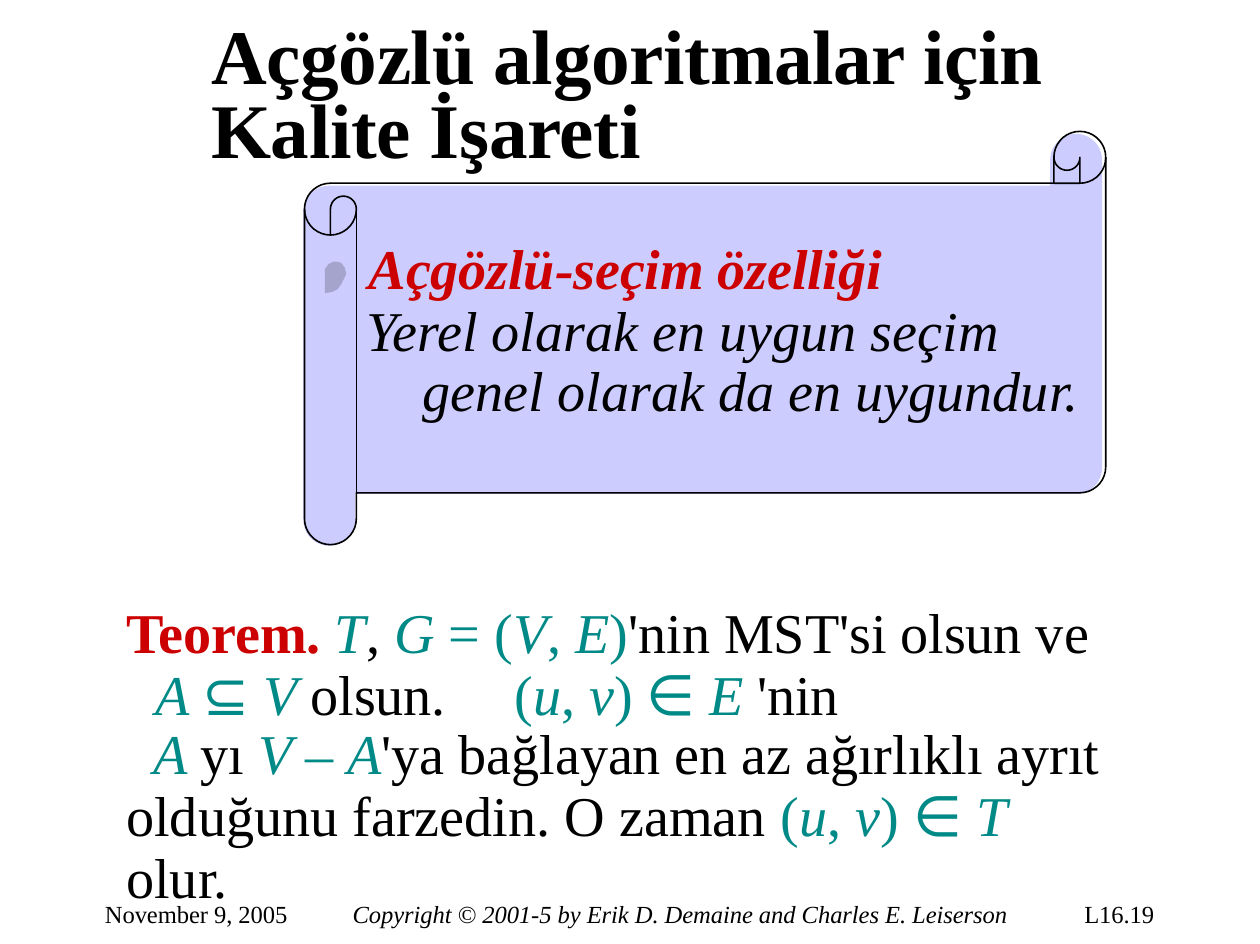
import math
from dataclasses import dataclass

from lxml import etree
from pptx import Presentation
from pptx import util as u
from pptx.dml.color import RGBColor
from pptx.enum import shapes, text
from pptx.oxml.ns import qn

SERIF, SYMBOL = "Times New Roman", "Roboto"
BLACK, RED, TEAL = "000000", "CC0000", "008A87"
LILAC, GREY_LILAC = "CCCCFF", "A4A4CD"
Point = tuple[float, float]


@dataclass
class Span:
    words: str
    color: str = BLACK
    bold: bool = False
    italic: bool = False
    font: str | None = None


@dataclass
class Para:
    spans: list[Span]
    size: float = 32
    margin: float = 0.01
    indent: float = 0
    spacing: float | u.Pt | None = None
    before: float = 0
    tab: float | None = None
    centred: bool = False
    tracking: float = -0.1


@dataclass
class Box:
    left: float
    top: float
    width: float
    height: float
    paras: list[Para]


def variable(words: str) -> Span:
    return Span(words, TEAL, italic=True)


def math_sign(words: str) -> Span:
    return Span(words, TEAL)


def relation(words: str) -> Span:
    return Span(words, TEAL, font=SYMBOL)


def edge() -> list[Span]:
    return [math_sign("("), variable("u"), math_sign(", "), variable("v"),
            math_sign(") "), relation("∈ ")]


def footer(left: float, width: float, words: str, italic: bool = False) -> Box:
    line = Para([Span(words, italic=italic)], size=14, tracking=-0.07)
    return Box(left, 7.11, width, 0.25, [line])


THEOREM = Box(0.99, 4.73, 7.86, 1.99, [
    Para([Span("Teorem. ", RED, bold=True), variable("T"), Span(", "), variable("G "),
          math_sign("= ("), variable("V"), math_sign(", "), variable("E"),
          math_sign(")"), Span("'nin MST'si olsun ve")], tracking=-0.07),
    Para([variable("A "), relation("⊆ "), variable("V "), Span("olsun.\t"),
          *edge(), variable("E "), Span("'nin")],
         margin=0.24, spacing=u.Pt(35.1), tab=2.84),
    Para([variable("A "), Span("yı "), variable("V "), math_sign("– "), variable("A"),
          Span("'ya bağlayan en az ağırlıklı ayrıt")],
         margin=0.07, spacing=u.Pt(33.9), centred=True, tracking=-0.05),
    Para([Span("olduğunu farzedin. O zaman "), *edge(), variable("T "), Span("olur.")],
         spacing=u.Pt(35.1), tracking=0),
])
TITLE = Box(1.66, 0.2, 6.68, 1.18, [
    Para([Span("Açgözlü algoritmalar için Kalite İşareti", bold=True)],
         size=44, spacing=0.8, tracking=-0.2),
])
PROPERTY = Box(1.37, 1.85, 7.23, 1.5, [
    Para([Span("Açgözlü-seçim özelliği", RED, bold=True, italic=True)], margin=1.55),
    Para([Span("Yerel olarak en uygun seçim genel olarak da en uygundur.", italic=True)],
         margin=1.97, indent=-0.44, spacing=u.Pt(34.5), before=0.5, tracking=0),
])
FOOTERS = [
    footer(0.82, 1.48, "November 9, 2005"),
    footer(2.78, 5.25, "Copyright © 2001-5 by Erik D. Demaine and Charles E. Leiserson", italic=True),
    footer(8.57, 0.6, "L16.19"),
]

# Scroll: every roll has the same radius
ROLL = 0.205
LEFT, TOP, RIGHT, BOTTOM = 2.41, 1.04, 8.75, 4.31
BULLET = [(2.74, 2.17), (2.73, 2.12), (2.7, 2.08), (2.66, 2.07), (2.64, 2.07), (2.6, 2.09),
          (2.57, 2.13), (2.57, 2.32), (2.63, 2.31), (2.67, 2.29), (2.7, 2.25), (2.72, 2.21)]


def rgb(color: str) -> RGBColor:
    return RGBColor.from_string(color)


def arc(x: float, y: float, radius: float, start: int, end: int) -> list[Point]:
    """Points round a centre; angles in degrees, clockwise from the right."""
    steps = abs(end - start) // 10
    angles = [math.radians(start + (end - start) * i / steps) for i in range(steps + 1)]
    return [(x + radius * math.cos(a), y + radius * math.sin(a)) for a in angles]


def scroll_outline(left: float, top: float, right: float, bottom: float) -> list[Point]:
    return [
        *arc(left + ROLL, top + 3 * ROLL, ROLL, 180, 270),
        (right - 2 * ROLL, top + 2 * ROLL),
        *arc(right - ROLL, top + ROLL, ROLL, 180, 360),
        *arc(right - ROLL, bottom - 3 * ROLL, ROLL, 0, 90),
        (left + 2 * ROLL, bottom - 2 * ROLL),
        *arc(left + ROLL, bottom - ROLL, ROLL, 0, 180),
    ]


def draw_path(page, points: list[Point], fill: str | None = None, closed: bool = False) -> None:
    """Draw a filled outline without a line, or a black line without a fill."""
    start, *rest = [(u.Inches(x), u.Inches(y)) for x, y in points]
    builder = page.shapes.build_freeform(*start)
    builder.add_line_segments(rest, close=closed)
    shape = builder.convert_to_shape()
    shape.shadow.inherit = False
    if fill:
        shape.fill.solid()
        shape.fill.fore_color.rgb = rgb(fill)
        shape.line.fill.background()
    else:
        shape.fill.background()
        shape.line.color.rgb = rgb(BLACK)
        shape.line.width = u.Pt(0.92)


def draw_scroll(page) -> None:
    draw_path(page, scroll_outline(2.4, 1.06, 8.72, 4.32), LILAC, closed=True)
    draw_path(page, BULLET, GREY_LILAC, closed=True)
    draw_path(page, scroll_outline(LEFT, TOP, RIGHT, BOTTOM), closed=True)

    left_x, left_y = LEFT + ROLL, TOP + 3 * ROLL
    draw_path(page, [*arc(left_x, left_y, ROLL, 180, 0),
                     *arc(left_x + ROLL / 2, left_y, ROLL / 2, 0, -180),
                     (left_x, left_y + ROLL)])
    edge_x = u.Inches(LEFT + 2 * ROLL)
    roll_edge = page.shapes.add_connector(
        shapes.MSO_CONNECTOR.STRAIGHT, edge_x, u.Inches(left_y),
        edge_x, u.Inches(BOTTOM - 2 * ROLL))
    roll_edge.line.color.rgb = rgb(BLACK)
    roll_edge.line.width = u.Pt(0.92)
    etree.SubElement(roll_edge._element.spPr, qn("a:effectLst"))

    right_x, right_y = RIGHT - ROLL, TOP + ROLL
    draw_path(page, [*arc(right_x, right_y, ROLL, 0, 90), (right_x - ROLL, right_y + ROLL)])
    draw_path(page, [*arc(right_x - ROLL / 2, right_y, ROLL / 2, 180, 0),
                     (right_x, right_y + ROLL)])


def write_para(paragraph, para: Para) -> None:
    paragraph.alignment = text.PP_ALIGN.CENTER if para.centred else text.PP_ALIGN.LEFT
    paragraph.line_spacing = para.spacing
    paragraph.space_before = u.Pt(para.before)
    properties = paragraph._p.get_or_add_pPr()
    properties.set("marL", str(u.Inches(para.margin)))
    if para.indent:
        properties.set("indent", str(u.Inches(para.indent)))
    if para.tab:
        tabs = etree.SubElement(properties, qn("a:tabLst"))
        etree.SubElement(tabs, qn("a:tab"), pos=str(u.Inches(para.tab)), algn="l")
    paragraph.font.size = u.Pt(para.size)
    paragraph.font.name = SERIF
    for span in para.spans:
        run = paragraph.add_run()
        run.text = span.words
        run.font.color.rgb = rgb(span.color)
        run.font.bold, run.font.italic = span.bold, span.italic
        if span.font:
            run.font.name = span.font
        run._r.get_or_add_rPr().set("spc", str(round(para.tracking * 100)))


def draw_box(page, box: Box) -> None:
    place = [u.Inches(v) for v in (box.left, box.top, box.width, box.height)]
    frame = page.shapes.add_textbox(*place).text_frame
    frame.word_wrap = True
    frame.margin_left = frame.margin_top = frame.margin_right = frame.margin_bottom = 0
    for index, para in enumerate(box.paras):
        write_para(frame.add_paragraph() if index else frame.paragraphs[0], para)


def main() -> None:
    deck = Presentation()
    deck.slide_width, deck.slide_height = u.Inches(9.97), u.Inches(7.47)
    page = deck.slides.add_slide(deck.slide_layouts[6])
    draw_box(page, THEOREM)
    draw_box(page, TITLE)
    draw_scroll(page)
    for box in (PROPERTY, *FOOTERS):
        draw_box(page, box)
    deck.save("out.pptx")


if __name__ == "__main__":
    main()
